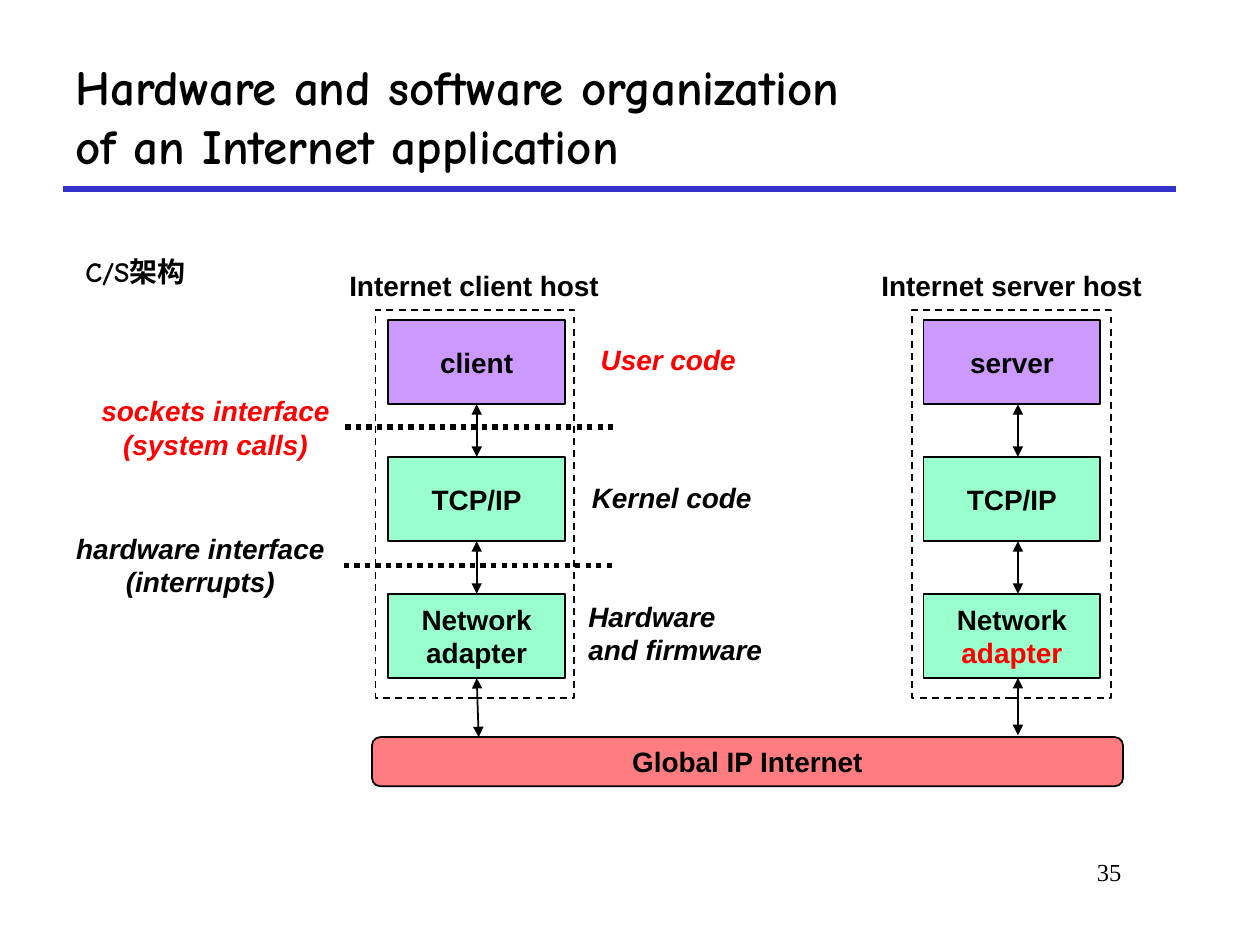
"""Build the slide on the hardware and software organization of an Internet application."""
from lxml import etree
from pptx import Presentation
from pptx import util as u
from pptx.dml.color import RGBColor
from pptx.enum import dml, shapes, text
from pptx.oxml import ns

BLACK, RED, BLUE = "000000", "FF0000", "3333CC"
PURPLE, GREEN, PINK = "CC99FF", "99FFCC", "FF7C80"
LEFT, CENTER, RIGHT = text.PP_ALIGN.LEFT, text.PP_ALIGN.CENTER, text.PP_ALIGN.RIGHT
TOP, MIDDLE = text.MSO_ANCHOR.TOP, text.MSO_ANCHOR.MIDDLE


def color(value):
    return RGBColor.from_string(value)


def cm(*values):
    return [u.Cm(value) for value in values]


def write(frame, content, font="Arial", size=16, ink=BLACK, last_ink=None,
          bold=True, italic=False, align=CENTER, anchor=MIDDLE, wrap=False):
    """Fill a frame; a newline starts a paragraph, a vertical tab a line."""
    frame.word_wrap = wrap
    frame.auto_size = text.MSO_AUTO_SIZE.NONE
    frame.vertical_anchor = anchor
    paragraphs = content.split("\n")
    for index, words in enumerate(paragraphs):
        para = frame.add_paragraph() if index else frame.paragraphs[0]
        para.alignment = align
        is_last = index == len(paragraphs) - 1
        for number, line in enumerate(words.split("\v")):
            if number:
                para.add_line_break()
            span = para.add_run()
            span.text = line
            span.font.name = font
            span.font.size = u.Pt(size)
            span.font.bold = bold
            span.font.italic = italic
            span.font.color.rgb = color(last_ink if last_ink and is_last else ink)


class Diagram:
    """Holds the line style and the current page."""

    def __init__(self, page, line_width=1):
        self.page = page
        self.line_width = line_width

    def title(self, place, content, **style):
        box = self.page.shapes.title
        box.left, box.top, box.width, box.height = cm(*place)
        write(box.text_frame, content, **style)

    def label(self, place, content, **style):
        box = self.page.shapes.add_textbox(*cm(*place))
        write(box.text_frame, content, **style)

    def block(self, place, content="", fill=None, rounded=False, dash=None, **style):
        kind = shapes.MSO_SHAPE.ROUNDED_RECTANGLE if rounded else shapes.MSO_SHAPE.RECTANGLE
        box = self.page.shapes.add_shape(kind, *cm(*place))
        box.shadow.inherit = False
        if fill:
            box.fill.solid()
            box.fill.fore_color.rgb = color(fill)
        else:
            box.fill.background()
        box.line.color.rgb = color(BLACK)
        box.line.width = u.Pt(self.line_width)
        if dash:
            box.line.dash_style = dash
        if content:
            write(box.text_frame, content, **style)
        return box

    def line(self, ends, ink=BLACK, width=None, dash=None):
        rule = self.page.shapes.add_connector(shapes.MSO_CONNECTOR.STRAIGHT, *cm(*ends))
        rule.line.color.rgb = color(ink)
        rule.line.width = u.Pt(width or self.line_width)
        if dash:
            rule.line.dash_style = dash
        etree.SubElement(rule._element.spPr, ns.qn("a:effectLst"))
        return rule

    def arrow(self, ends, upper=None, lower=None):
        rule = self.line(ends)
        outline = rule.line._get_or_add_ln()
        for tag in ("a:headEnd", "a:tailEnd"):
            etree.SubElement(outline, ns.qn(tag), type="triangle")
        if upper:
            rule.begin_connect(upper, 2)
        if lower:
            rule.end_connect(lower, 0)

    def host(self, left, frame_left, arrow_x, program, adapter_ink, joined, net_end):
        """Draw the stack of one host and its arrows."""
        first, step, width, height = 6.45, 2.76, 3.56, 1.7
        layers = [(program, PURPLE), ("TCP/IP", GREEN), ("Network\nadapter", GREEN)]
        boxes = [self.block((left, first + step * row, width, height), name, fill,
                            last_ink=adapter_ink if row == 2 else None)
                 for row, (name, fill) in enumerate(layers)]
        for row in range(2):
            start = first + step * row + height
            pair = boxes[row:row + 2] if joined else ()
            self.arrow((arrow_x, start, arrow_x, first + step * (row + 1)), *pair)
        bottom = first + step * 2 + height
        self.arrow((arrow_x, bottom, *net_end), boxes[2] if joined else None)
        self.block((frame_left, 6.25, 4.01, 7.82), dash=dml.MSO_LINE.DASH)


def main():
    deck = Presentation()
    deck.slide_width, deck.slide_height = cm(25.4, 19.05)
    page = deck.slides.add_slide(deck.slide_layouts[5])
    art = Diagram(page)

    art.title((1.27, 0.84, 22.43, 2.97),
              "Hardware and software organization\vof an Internet application",
              font="Comic Neue", size=28, align=LEFT, wrap=True)
    art.line((1.27, 3.81, 23.7, 3.81), BLUE, 3)
    art.label((1.47, 5, 2.67, 0.94), "C/S架构", font="Comic Neue", align=LEFT, anchor=TOP)

    art.block((7.5, 14.86, 15.14, 0.99), "Global IP Internet", PINK, rounded=True)
    art.host(7.83, 7.57, 9.61, "client", None, True, (9.65, 14.86))
    art.host(18.62, 18.39, 20.52, "server", RED, False, (20.52, 14.82))
    art.label((6.78, 5.28, 5.56, 0.94), "Internet client host")
    art.label((17.5, 5.28, 5.79, 0.94), "Internet server host")

    for place, content, ink, align in [
        ((1.78, 7.8, 5.13, 1.63), "sockets interface\n(system calls)", RED, CENTER),
        ((1.27, 10.57, 5.54, 1.63), "hardware interface\n(interrupts)", BLACK, CENTER),
        ((11.86, 6.78, 3.25, 0.94), "User code", RED, LEFT),
        ((11.68, 9.55, 3.76, 0.94), "Kernel code", BLACK, LEFT),
        ((11.61, 11.94, 4.06, 1.63), "Hardware\vand firmware", BLACK, LEFT),
    ]:
        art.label(place, content, ink=ink, align=align, italic=True)
    for left, top in [(6.96, 8.61), (6.93, 11.4)]:
        art.line((left, top, left + 5.47, top), width=3, dash=dml.MSO_LINE.ROUND_DOT)

    art.label((19.25, 17.15, 3.61, 1.27), "35", font="Times New Roman", size=14,
              bold=False, align=RIGHT, anchor=TOP, wrap=True)
    deck.save("out.pptx")


if __name__ == "__main__":
    main()
